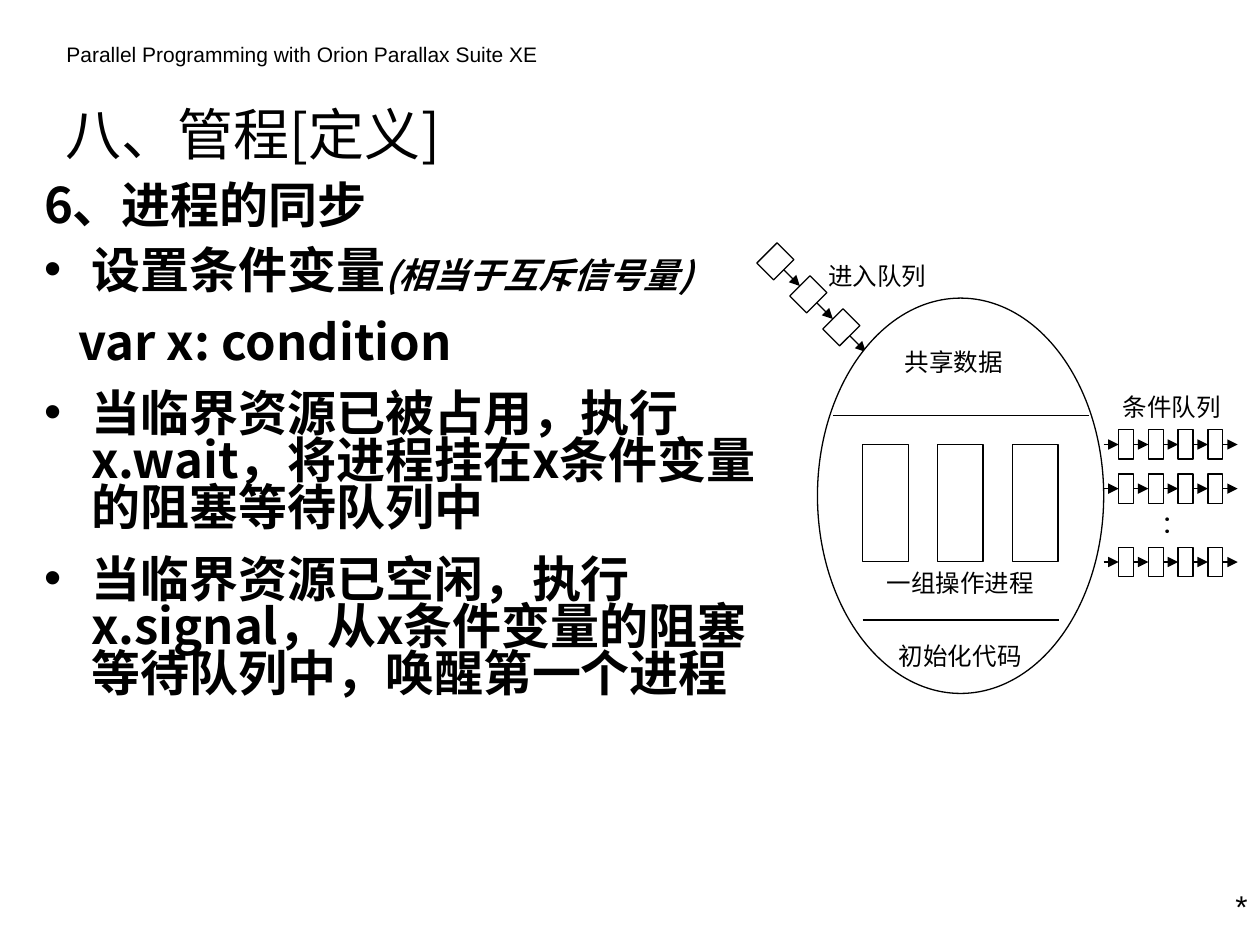
from dataclasses import dataclass

from lxml import etree
from pptx import Presentation, util as u
from pptx.dml.color import RGBColor
from pptx.enum import shapes, text
from pptx.oxml import ns


@dataclass(frozen=True)
class Theme:
    """Colours, fonts and type sizes of the slide."""
    ink: RGBColor = RGBColor(0, 0, 0)
    paper: RGBColor = RGBColor(255, 255, 255)
    latin: str = "Arial"
    chinese: str = "Noto Sans CJK SC"
    serif: str = "Times New Roman"
    header: int = 12
    title: int = 32
    body: int = 28
    aside: int = 20
    label: int = 14
    footer: int = 18
    stroke: float = 0.75


THEME = Theme()
LEFT, CENTER, RIGHT = text.PP_ALIGN.LEFT, text.PP_ALIGN.CENTER, text.PP_ALIGN.RIGHT


def format_span(span, size, font, bold=False, italic=False):
    """Give a run its font, size, colour and East Asian typeface."""
    span.font.name, span.font.size = font, u.Pt(size)
    span.font.bold, span.font.italic = bold, italic
    span.font.color.rgb = THEME.ink
    east_asian = etree.Element(ns.qn("a:ea"), typeface=THEME.chinese)
    span.font._element.find(ns.qn("a:latin")).addnext(east_asian)


def place(item, left, top, width, height):
    """Move and size an item in centimetres."""
    item.left, item.top = u.Cm(left), u.Cm(top)
    item.width, item.height = u.Cm(width), u.Cm(height)


def add_text(slide, wording, area, size, font, align=LEFT):
    """Add a one-paragraph text box."""
    box = slide.shapes.add_textbox(*map(u.Cm, area))
    box.text_frame.word_wrap = True
    para = box.text_frame.paragraphs[0]
    para.text, para.alignment = wording, align
    format_span(para.runs[0], size, font)


def add_label(slide, wording, area, align=CENTER):
    """Add a diagram label."""
    add_text(slide, wording, area, THEME.label, THEME.serif, align)


def add_outline(slide, kind, area, rotation=0):
    """Add a white preset shape with a thin dark outline."""
    shape = slide.shapes.add_shape(kind, *map(u.Cm, area))
    shape.shadow.inherit = False
    shape.rotation = rotation
    shape.fill.solid()
    shape.fill.fore_color.rgb = THEME.paper
    shape.line.color.rgb, shape.line.width = THEME.ink, u.Pt(THEME.stroke)
    return shape


def add_line(slide, start, end, source=None, target=None, arrow=False):
    """Add a straight line, joined from a right side to a left side if given."""
    ends = [u.Cm(value) for value in (*start, *end)]
    line = slide.shapes.add_connector(shapes.MSO_CONNECTOR.STRAIGHT, *ends)
    if source is not None:
        line.begin_connect(source, 3)
    if target is not None:
        line.end_connect(target, 1)
    line.begin_x, line.begin_y, line.end_x, line.end_y = ends
    line.line.color.rgb, line.line.width = THEME.ink, u.Pt(THEME.stroke)
    if arrow:
        etree.SubElement(line.line._get_or_add_ln(), ns.qn("a:tailEnd"), type="triangle")
    etree.SubElement(line._element.spPr, ns.qn("a:effectLst"))


def add_title(slide):
    """Fill and format the title placeholder."""
    title = slide.shapes.title
    place(title, 1.07, 1.73, 14.4, 1.9)
    frame = title.text_frame
    frame.text = "八、管程[定义]"
    frame.auto_size = text.MSO_AUTO_SIZE.NONE
    frame.vertical_anchor = text.MSO_ANCHOR.MIDDLE
    frame.paragraphs[0].alignment = LEFT
    format_span(frame.paragraphs[0].runs[0], THEME.title, THEME.chinese)


def add_body(slide):
    """Add the explanation with its bullets and indents."""
    hanging, inset = (0.96, -0.96), (0.69, 0)
    rows = [
        ("6、进程的同步", "", hanging, False, 0),
        ("设置条件变量", "(相当于互斥信号量)", hanging, True, 10),
        ("var x: condition", "", inset, False, 14),
        ("当临界资源已被占用，执行x.wait，将进程挂在x条件变量的阻塞等待队列中",
         "", hanging, True, 14),
        ("当临界资源已空闲，执行x.signal，从x条件变量的阻塞等待队列中，唤醒第一个进程",
         "", hanging, True, 14),
    ]
    box = slide.shapes.add_textbox(*map(u.Cm, (0.64, 3.63, 15.24, 12.07)))
    frame = box.text_frame
    frame.word_wrap = True
    for index, (wording, aside, (margin, indent), bullet, before) in enumerate(rows):
        para = frame.add_paragraph() if index else frame.paragraphs[0]
        properties = para._p.get_or_add_pPr()
        properties.set("marL", str(u.Cm(margin)))
        properties.set("indent", str(u.Cm(indent)))
        if bullet:
            etree.SubElement(properties, ns.qn("a:buFont"), typeface=THEME.latin)
            etree.SubElement(properties, ns.qn("a:buChar"), char="•")
        para.line_spacing, para.space_before = 0.8, u.Pt(before)
        para.text = wording
        format_span(para.runs[0], THEME.body, THEME.chinese, bold=True)
        if aside:
            span = para.add_run()
            span.text = aside
            format_span(span, THEME.aside, THEME.chinese, bold=True, italic=True)


def add_entry_queue(slide):
    """Add the diagonal queue of processes entering the monitor."""
    width, height, step, reach = 0.48, 0.58, 0.665, 0.17
    centers = [(15.63 + step * i, 5.27 + step * i) for i in range(4)]
    boxes = [add_outline(slide, shapes.MSO_SHAPE.RECTANGLE,
                         (x - width / 2, y - height / 2, width, height), 45)
             for x, y in centers[:3]]
    for (x, y), (next_x, next_y), box, following in zip(
            centers, centers[1:], boxes, boxes[1:] + [None]):
        add_line(slide, (x + reach, y + reach), (next_x - reach, next_y - reach),
                 box, following, arrow=True)
    add_label(slide, "进入队列", (15.88, 5.13, 3.05, 0.89), RIGHT)


def add_monitor(slide):
    """Add the monitor with its data, operations and initial code."""
    add_outline(slide, shapes.MSO_SHAPE.OVAL, (16.48, 6.01, 5.77, 7.97))
    add_line(slide, (16.79, 8.38), (21.95, 8.38))
    for index in range(3):
        add_outline(slide, shapes.MSO_SHAPE.RECTANGLE,
                    (17.39 + 1.51 * index, 8.96, 0.92, 2.36))
    add_line(slide, (17.39, 12.5), (21.34, 12.5))
    add_label(slide, "共享数据", (17.7, 6.88, 3.05, 0.89))
    add_label(slide, "一组操作进程", (17.39, 11.33, 3.94, 0.89))
    add_label(slide, "初始化代码", (17.39, 12.8, 3.94, 0.89))


def add_condition_queue(slide, middle):
    """Add one row of waiting processes linked by arrows."""
    start, gap, width, height, count = 22.25, 0.3, 0.3, 0.59, 4
    pitch = gap + width
    boxes = [add_outline(slide, shapes.MSO_SHAPE.RECTANGLE,
                         (start + gap + pitch * i, middle - height / 2, width, height))
             for i in range(count)]
    for index, (source, target) in enumerate(zip([None] + boxes, boxes + [None])):
        left = start + pitch * index
        add_line(slide, (left, middle), (left + gap, middle), source, target, arrow=True)


def main():
    """Build and save the slide."""
    deck = Presentation()
    deck.slide_width, deck.slide_height = u.Cm(25.4), u.Cm(19.05)
    slide = deck.slides.add_slide(deck.slide_layouts[5])
    add_text(slide, "Parallel Programming with Orion Parallax Suite XE",
             (1.09, 0.71, 10.6, 0.76), THEME.header, THEME.latin)
    add_title(slide)
    add_body(slide)
    add_text(slide, "*", (22.91, 17.75, 2.49, 1.02), THEME.footer, THEME.latin, RIGHT)
    add_entry_queue(slide)
    add_monitor(slide)
    for middle in (8.96, 9.85, 11.33):
        add_condition_queue(slide, middle)
    add_label(slide, "：", (23.16, 10.13, 0.91, 0.89), LEFT)
    add_label(slide, "条件队列", (22.25, 7.77, 2.74, 0.89))
    deck.save("out.pptx")


if __name__ == "__main__":
    main()
